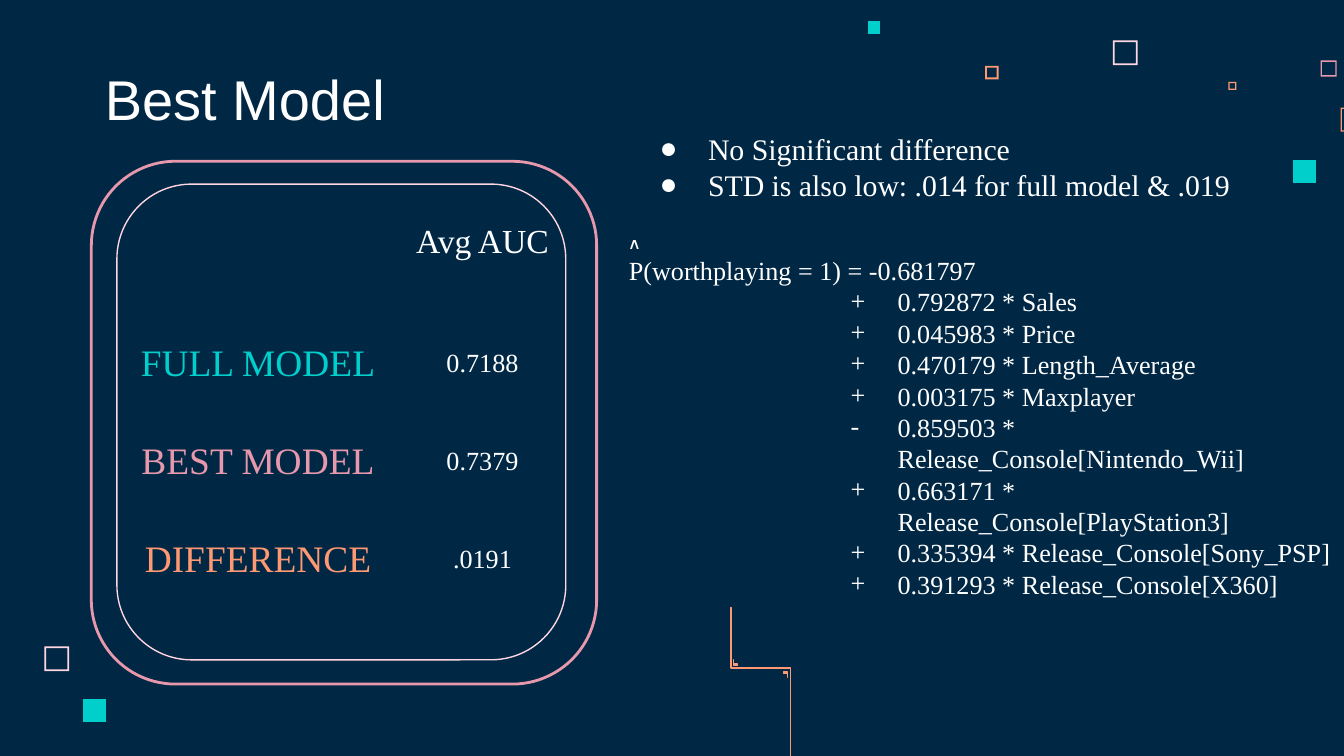
from dataclasses import dataclass
from typing import Any, Optional

from lxml.etree import SubElement
from pptx import Presentation
from pptx.dml.color import RGBColor
from pptx.enum.shapes import MSO_SHAPE
from pptx.enum.text import MSO_ANCHOR, MSO_AUTO_SIZE, PP_ALIGN
from pptx.oxml.ns import qn
from pptx.util import Inches, Pt

COLORS = {
    "navy": "002845", "white": "FFFFFF", "blush": "FFD6E1",
    "pink": "E898AC", "orange": "FF9973", "teal": "00CFCC",
}
COLUMNS, ROWS = 100, 56.25
UNIT = Inches(10) / COLUMNS
SERIF, SANS = "Times New Roman", "Arial"
MARGINS = dict.fromkeys(
    ("margin_left", "margin_right", "margin_top", "margin_bottom"), Inches(0.1))
Point = tuple[float, float]


@dataclass
class Square:
    """A decorative square, hollow when it has an edge thickness."""
    column: float
    row: float
    size: float
    color: str
    edge: float = 0


@dataclass
class Panel:
    """A rounded outline given in grid units."""
    column: float
    row: float
    width: float
    height: float
    color: str
    weight: float


@dataclass
class Score:
    """A table row with a model name and its average AUC."""
    name: str
    value: str
    color: str


@dataclass
class Line:
    """A paragraph with an optional bullet."""
    text: str
    bullet: Optional[str] = None


SQUARES = [
    Square(82.8, 3, 1.85, "blush", 0.13),
    Square(98.25, 4.5, 1.2, "pink", 0.1),
    Square(91.4, 6.1, 0.6, "orange", 0.1),
    Square(99.75, 8, 1.8, "orange", 0.1),
    Square(96.2, 11.9, 1.7, "teal"),
    Square(73.3, 4.9, 1, "orange", 0.13),
    Square(64.6, 1.6, 0.9, "teal"),
    Square(3.3, 48.1, 1.85, "blush", 0.13),
    Square(6.2, 52, 1.7, "teal"),
]
PANELS = [
    Panel(6.8, 12, 37.6, 38.9, "pink", 1.5),
    Panel(8.7, 13.7, 33.4, 35.4, "blush", 0.75),
]
SCORES = [
    Score("FULL MODEL", "0.7188", "teal"),
    Score("BEST MODEL", "0.7379", "pink"),
    Score("DIFFERENCE", ".0191", "orange"),
]
CIRCUIT = [
    [(54.4, 45.2), (54.4, 49.7), (58.8, 49.7), (58.8, 59.3),
     (58.8, 49.7), (54.4, 49.7)],
    [(58.3, 50), (58.3, 50.1), (58.6, 50.1), (58.6, 50.4), (58.6, 50)],
    [(54.6, 49.1), (54.6, 49.5), (54.9, 49.5), (54.9, 49.4), (54.6, 49.4)],
]
FINDINGS = [
    Line("No Significant difference", "●"),
    Line("STD is also low: .014 for full model & .019", "●"),
]
EQUATION = [
    Line("៱"),
    Line("P(worthplaying = 1) = -0.681797"),
    Line("0.792872 * Sales", "+"),
    Line("0.045983 * Price", "+"),
    Line("0.470179 * Length_Average", "+"),
    Line("0.003175 * Maxplayer", "+"),
    Line("0.859503 * Release_Console[Nintendo_Wii]", "-"),
    Line("0.663171 * Release_Console[PlayStation3]", "+"),
    Line("0.335394 * Release_Console[Sony_PSP]", "+"),
    Line("0.391293 * Release_Console[X360]", "+"),
]


def grid(*units: float) -> list[int]:
    """Turn grid units into slide lengths."""
    return [round(unit * UNIT) for unit in units]


def rgb(color: str) -> RGBColor:
    """Look up a named colour."""
    return RGBColor.from_string(COLORS[color])


def apply(target: Any, values: dict[str, Any]) -> None:
    """Set every attribute in a dict of format values."""
    for name, value in values.items():
        setattr(target, name, value)


def style(paragraph: Any, size: float, color: str, font: str = SERIF) -> None:
    """Format the font of a paragraph."""
    apply(paragraph.font, {"size": Pt(size), "name": font, "bold": False})
    paragraph.font.color.rgb = rgb(color)


def draw_outline(shapes: Any, contours: list[list[Point]], color: str, weight: float = 0) -> None:
    """Draw closed contours as one filled freeform."""
    first, *others = [[tuple(grid(*point)) for point in contour] for contour in contours]
    builder = shapes.build_freeform(*first[0])
    builder.add_line_segments(first[1:])
    for contour in others:
        builder.move_to(*contour[0])
        builder.add_line_segments(contour[1:])
    shape = builder.convert_to_shape()
    shape.shadow.inherit = False
    shape.fill.solid()
    shape.fill.fore_color.rgb = rgb(color)
    if weight:
        shape.line.color.rgb = rgb(color)
        shape.line.width = Pt(weight)
    else:
        shape.line.fill.background()


def draw_square(shapes: Any, square: Square) -> None:
    """Draw a solid square or a hollow one."""
    left, top = square.column, square.row
    right, bottom, edge = left + square.size, top + square.size, square.edge
    contours = [[(left, top), (left, bottom), (right, bottom), (right, top)]]
    if edge:
        contours.append([(right - edge, top + edge), (right - edge, bottom - edge),
                         (left + edge, bottom - edge), (left + edge, top + edge)])
    draw_outline(shapes, contours, square.color)


def draw_panel(shapes: Any, panel: Panel) -> None:
    """Draw a rounded outline without a fill."""
    box = grid(panel.column, panel.row, panel.width, panel.height)
    shape = shapes.add_shape(MSO_SHAPE.ROUNDED_RECTANGLE, *box)
    shape.shadow.inherit = False
    shape.fill.background()
    shape.line.color.rgb = rgb(panel.color)
    shape.line.width = Pt(panel.weight)


def fill_cell(cell: Any, text: str, size: float, color: str, anchor: Any) -> None:
    """Write centred text in a cell without fill or borders."""
    apply(cell, {"text": text, "vertical_anchor": anchor} | MARGINS)
    properties = cell._tc.get_or_add_tcPr()
    for side in ("a:lnL", "a:lnR", "a:lnT", "a:lnB"):
        SubElement(SubElement(properties, qn(side)), qn("a:noFill"))
    cell.fill.background()
    paragraph = cell.text_frame.paragraphs[0]
    paragraph.alignment = PP_ALIGN.CENTER
    style(paragraph, size, color)


def draw_scores(shapes: Any, scores: list[Score]) -> None:
    """Draw the table of average AUC values."""
    table = shapes.add_table(len(scores) + 1, 2, *grid(9.4, 15.6, 33.4, 29.7)).table
    apply(table, {"first_row": False, "horz_banding": False})
    for column, width in zip(table.columns, grid(19.6, 13.8)):
        column.width = width
    for row, height in zip(table.rows, grid(7.8, *[7.3] * len(scores))):
        row.height = height
    for column, text in enumerate(("", "Avg AUC")):
        fill_cell(table.cell(0, column), text, 18, "white", MSO_ANCHOR.TOP)
    for row, score in enumerate(scores, 1):
        fill_cell(table.cell(row, 0), score.name, 20, score.color, MSO_ANCHOR.MIDDLE)
        fill_cell(table.cell(row, 1), score.value, 14, "white", MSO_ANCHOR.MIDDLE)


def set_frame(frame: Any, anchor: Any) -> None:
    """Give a text frame its wrapping, anchor and insets."""
    apply(frame, {"word_wrap": True, "auto_size": MSO_AUTO_SIZE.NONE,
                  "vertical_anchor": anchor} | MARGINS)


def draw_lines(shapes: Any, box: list[int], lines: list[Line], size: float,
               margin: float, hanging: float) -> None:
    """Draw a text box of plain and bulleted paragraphs."""
    frame = shapes.add_textbox(*box).text_frame
    set_frame(frame, MSO_ANCHOR.TOP)
    for index, line in enumerate(lines):
        paragraph = frame.add_paragraph() if index else frame.paragraphs[0]
        paragraph.text = line.text
        if line.bullet:
            properties = paragraph._p.get_or_add_pPr()
            apply_indent = {"marL": Inches(margin), "indent": -Inches(hanging)}
            for name, value in apply_indent.items():
                properties.set(name, str(int(value)))
            tint = SubElement(properties, qn("a:buClr"))
            SubElement(tint, qn("a:srgbClr"), val=COLORS["white"])
            SubElement(properties, qn("a:buFont"), typeface=SERIF)
            SubElement(properties, qn("a:buChar"), char=line.bullet)
        style(paragraph, size, "white")


def main() -> None:
    """Build the slide and save it."""
    presentation = Presentation()
    width, height = grid(COLUMNS, ROWS)
    apply(presentation, {"slide_width": width, "slide_height": height})
    slide = presentation.slides.add_slide(presentation.slide_layouts[5])
    slide.background.fill.solid()
    slide.background.fill.fore_color.rgb = rgb("navy")
    shapes = slide.shapes
    for square in SQUARES:
        draw_square(shapes, square)
    for panel in PANELS:
        draw_panel(shapes, panel)
    title = shapes.title
    apply(title, dict(zip(("left", "top", "width", "height"), grid(6.8, 4.5, 51.7, 6.3))))
    title.text = "Best Model"
    set_frame(title.text_frame, MSO_ANCHOR.BOTTOM)
    title.text_frame.paragraphs[0].alignment = PP_ALIGN.LEFT
    style(title.text_frame.paragraphs[0], 30, "white", SANS)
    draw_scores(shapes, SCORES)
    circuit = shapes.add_group_shape()
    for contour in CIRCUIT:
        draw_outline(circuit.shapes, [contour], "orange", 0.75)
    draw_lines(shapes, grid(46.7, 8.7, 53.3, 7.9), FINDINGS, 16, 0.5, 0.36)
    draw_lines(shapes, grid(45.8, 15.6, 54.2, 33.2), EQUATION, 14, 2, 0.35)
    presentation.save("out.pptx")


if __name__ == "__main__":
    main()
